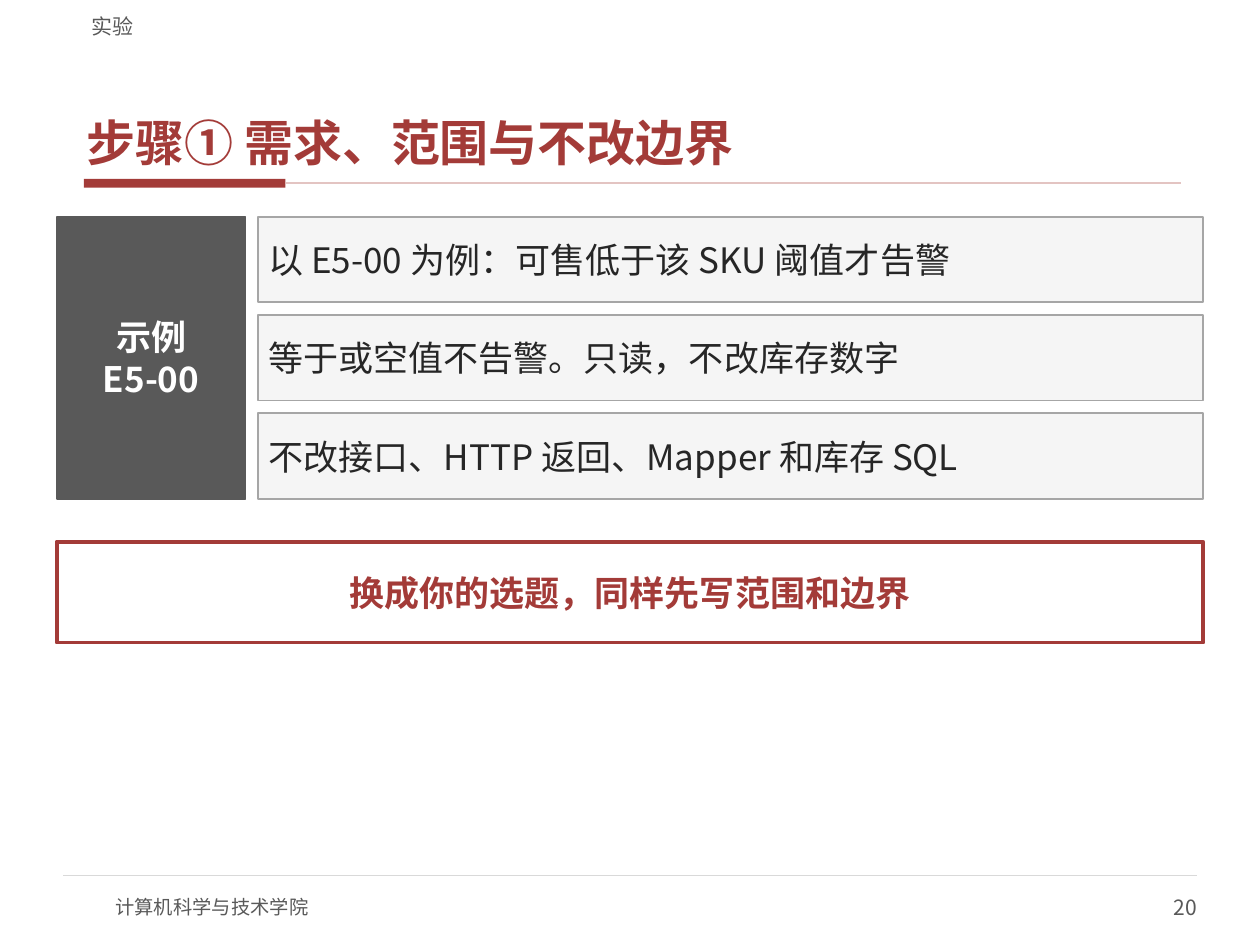
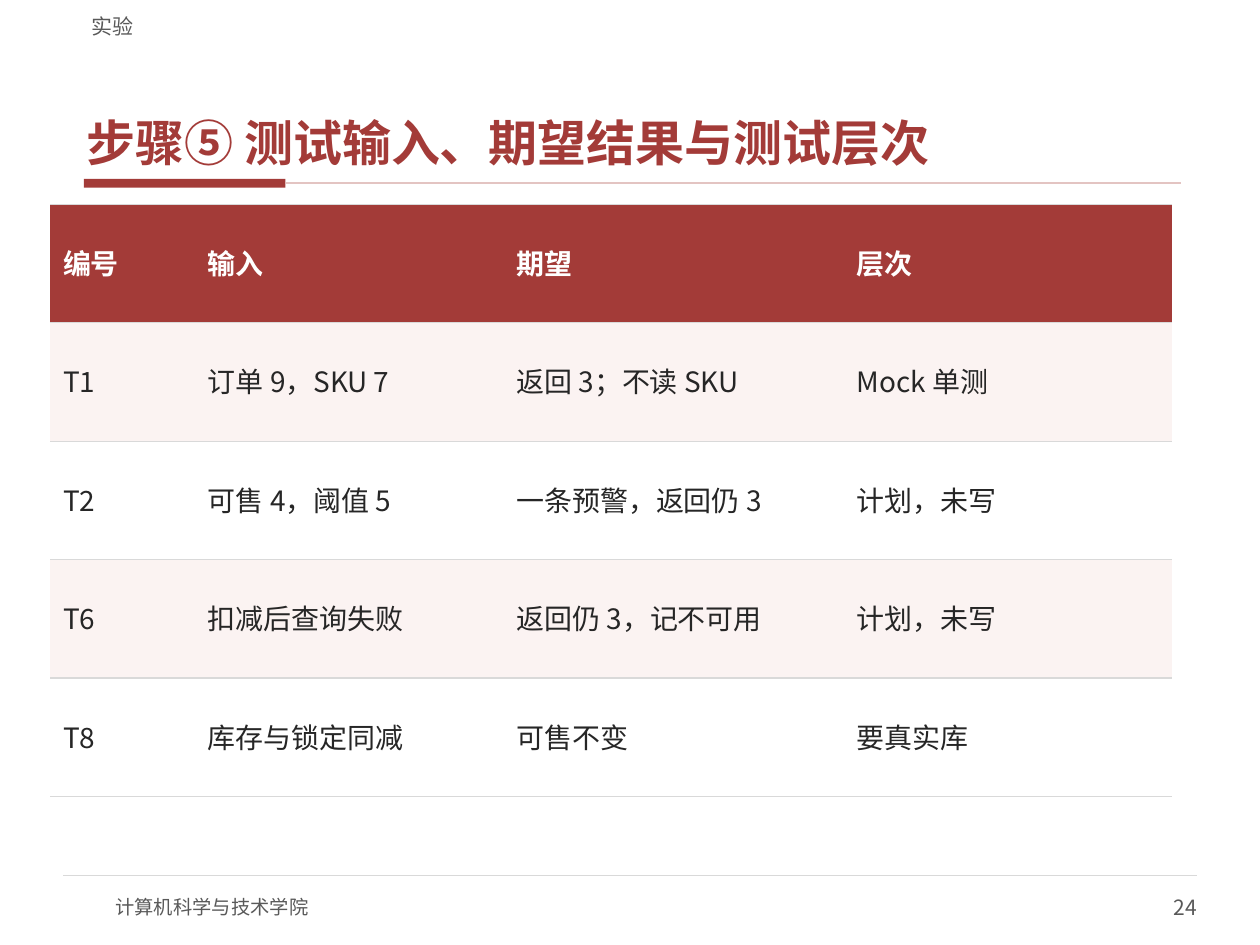
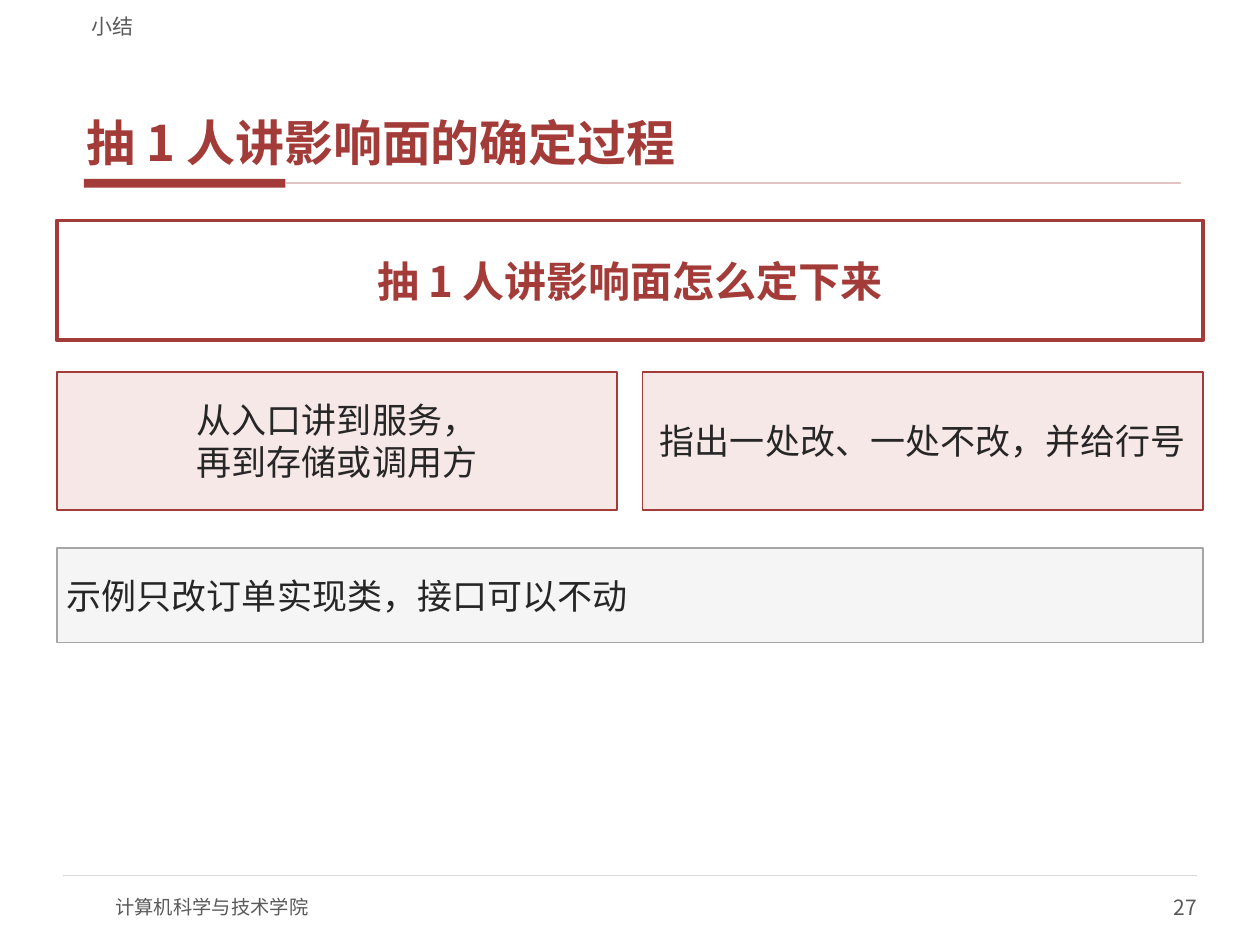
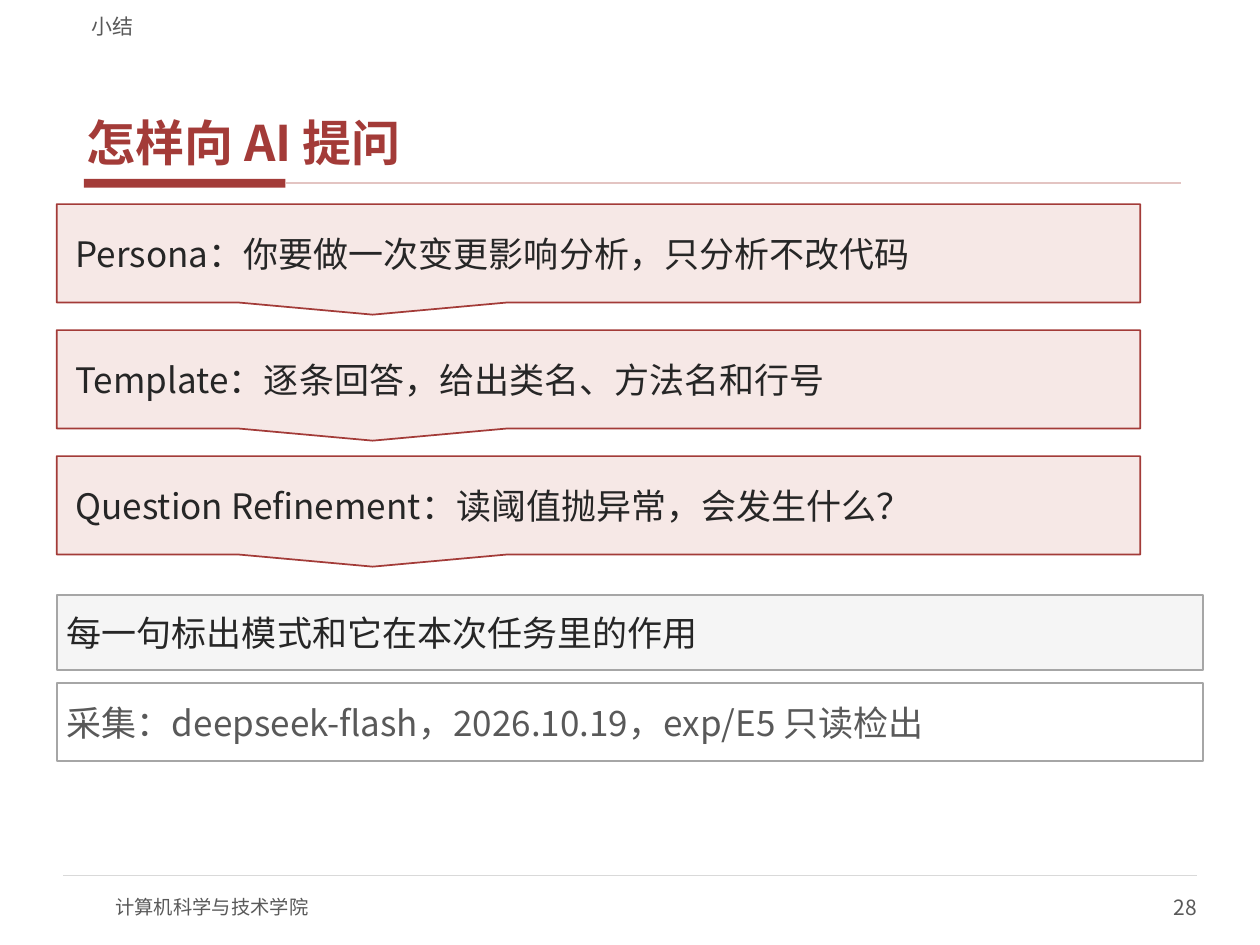
from lxml import etree
from pptx import Presentation
from pptx.dml.color import RGBColor
from pptx.enum import shapes, text
from pptx.oxml import ns
from pptx.util import Pt

FONT = "Noto Sans CJK SC"
COLORS = {
    "red": "A33B38", "rose": "E3C4C2", "pink": "F6E8E6", "blush": "FBF3F2",
    "white": "FFFFFF", "pale": "F5F5F5", "rule": "D9D9D9", "border": "A6A6A6",
    "gray": "595959", "ink": "262626",
}
SCHOOL = "计算机科学与技术学院"

SLIDES = [
    {"section": "实验", "number": 20, "title": "步骤① 需求、范围与不改边界"},
    {"section": "实验", "number": 24, "title": "步骤⑤ 测试输入、期望结果与测试层次"},
    {"section": "小结", "number": 27, "title": "抽 1 人讲影响面的确定过程"},
    {"section": "小结", "number": 28, "title": "怎样向 AI 提问"},
]

EXAMPLE = "示例\nE5-00"
SCOPE_RULES = [
    "以 E5-00 为例：可售低于该 SKU 阈值才告警",
    "等于或空值不告警。只读，不改库存数字",
    "不改接口、HTTP 返回、Mapper 和库存 SQL",
]
SCOPE_TASK = "换成你的选题，同样先写范围和边界"

TESTS = [
    ("编号", "输入", "期望", "层次"),
    ("T1", "订单 9，SKU 7", "返回 3；不读 SKU", "Mock 单测"),
    ("T2", "可售 4，阈值 5", "一条预警，返回仍 3", "计划，未写"),
    ("T6", "扣减后查询失败", "返回仍 3，记不可用", "计划，未写"),
    ("T8", "库存与锁定同减", "可售不变", "要真实库"),
]
TEST_WIDTHS = [82.8, 176.4, 194.4, 187.2]

TALK = "抽 1 人讲影响面怎么定下来"
TALK_POINTS = ["从入口讲到服务，\n再到存储或调用方", "指出一处改、一处不改，并给行号"]
TALK_NOTE = "示例只改订单实现类，接口可以不动"

PROMPTS = [
    "Persona：你要做一次变更影响分析，只分析不改代码",
    "Template：逐条回答，给出类名、方法名和行号",
    "Question Refinement：读阈值抛异常，会发生什么？",
]
PROMPT_NOTE = "每一句标出模式和它在本次任务里的作用"
PROMPT_SOURCE = "采集：deepseek-flash，2026.10.19，exp/E5 只读检出"

LEFT, WIDTH, GAP = 32.4, 655.2, 7.2
MIDDLE, BOTTOM = text.MSO_ANCHOR.MIDDLE, text.MSO_ANCHOR.BOTTOM
CENTER, RIGHT = text.PP_ALIGN.CENTER, text.PP_ALIGN.RIGHT

BOX_STYLES = {
    "dark": {"fill": "gray", "line": "gray", "color": "white", "bold": True, "align": CENTER},
    "plain": {"fill": "pale", "line": "border"},
    "source": {"fill": "white", "line": "border", "color": "gray"},
    "key": {"fill": "white", "line": "red", "weight": 2.25, "color": "red",
            "bold": True, "align": CENTER},
    "point": {"fill": "pink", "line": "red", "align": CENTER},
    "prompt": {"fill": "pink", "line": "red", "insets": (10.8, 5)},
}


def rgb(name):
    return RGBColor.from_string(COLORS[name])


def write(tf, words, size=20, color="ink", bold=False, align=None, **spacing):
    p = tf.paragraphs[0]
    p.text = words
    p.alignment = align
    for name, value in spacing.items():
        setattr(p, name, value)
    for r in p.runs:
        for name, value in {"name": FONT, "size": Pt(size), "bold": bold}.items():
            setattr(r.font, name, value)
        r.font.color.rgb = rgb(color)
        latin = r.font._element.find(ns.qn("a:latin"))
        latin.addnext(etree.Element(ns.qn("a:ea"), typeface=FONT))


def frame(tf, anchor, side, top):
    values = {"word_wrap": True, "vertical_anchor": anchor, "margin_left": Pt(side),
              "margin_right": Pt(side), "margin_top": Pt(top), "margin_bottom": Pt(top)}
    for name, value in values.items():
        setattr(tf, name, value)


def label(s, at, words, anchor, insets=(0, 0), **style):
    tf = s.shapes.add_textbox(*map(Pt, at)).text_frame
    frame(tf, anchor, *insets)
    write(tf, words, **style)


def shape(s, at, fill, line=None, weight=1, kind=shapes.MSO_SHAPE.RECTANGLE):
    sp = s.shapes.add_shape(kind, *map(Pt, at))
    sp.shadow.inherit = False
    sp.fill.solid()
    sp.fill.fore_color.rgb = rgb(fill)
    if line:
        sp.line.color.rgb = rgb(line)
        sp.line.width = Pt(weight)
    else:
        sp.line.fill.background()
    return sp


def box(s, at, words, style, size=20, kind=shapes.MSO_SHAPE.RECTANGLE):
    style = dict(BOX_STYLES[style])
    sp = shape(s, at, style.pop("fill"), style.pop("line"), style.pop("weight", 1), kind)
    frame(sp.text_frame, MIDDLE, *style.pop("insets", (5.76, 2.88)))
    write(sp.text_frame, words, size, **style)


def rule(s, x1, x2, y, color, weight):
    c = s.shapes.add_connector(shapes.MSO_CONNECTOR.STRAIGHT, Pt(x1), Pt(y), Pt(x2), Pt(y))
    c.line.color.rgb = rgb(color)
    c.line.width = Pt(weight)
    etree.SubElement(c._element.spPr, ns.qn("a:effectLst"))


def add_slide(prs, section, number, title):
    """Add a slide with the shared title, rules, section name and footer."""
    s = prs.slides.add_slide(prs.slide_layouts[6])
    shape(s, (48, 102.24, 115.2, 5.04), "red")
    rule(s, 163.2, 674.64, 104.76, "rose", 1)
    rule(s, 36, 684, 500.4, "rule", 0.75)
    label(s, (66, 504, 288, 28.8), SCHOOL, MIDDLE, size=11, color="gray")
    label(s, (540, 504, 144, 28.8), str(number), MIDDLE, size=12, color="gray", align=RIGHT)
    label(s, (45, 24, 630, 75.6), title, BOTTOM, (4.32, 1.44), size=28, color="red",
          bold=True, space_after=Pt(2))
    label(s, (45, 3, 630, 19.4), section, BOTTOM, (7.2, 0), size=12, color="gray")
    return s


def border_cell(cell):
    """Draw grey lines above and below a cell and none at its sides."""
    tcPr = cell._tc.get_or_add_tcPr()
    for side in "LRTB":
        ln = etree.SubElement(tcPr, ns.qn(f"a:ln{side}"), w=str(Pt(0.75)))
        if side in "LR":
            etree.SubElement(ln, ns.qn("a:noFill"))
        else:
            fill = etree.SubElement(ln, ns.qn("a:solidFill"))
            etree.SubElement(fill, ns.qn("a:srgbClr"), val=COLORS["rule"])


def fill_scope(s):
    top, row_height = 123.84, 48.96
    pitch = row_height + GAP
    label_width, rules_left = 108, 147.6
    box(s, (LEFT, top, label_width, len(SCOPE_RULES) * pitch - GAP), EXAMPLE, "dark")
    for i, words in enumerate(SCOPE_RULES):
        at = (rules_left, top + i * pitch, LEFT + WIDTH - rules_left, row_height)
        box(s, at, words, "plain")
    box(s, (LEFT, 309.6, WIDTH, 57.6), SCOPE_TASK, "key")


def fill_tests(s):
    height = 338.4
    table = s.shapes.add_table(len(TESTS), len(TEST_WIDTHS), Pt(28.8), Pt(116.8),
                               Pt(sum(TEST_WIDTHS)), Pt(height)).table
    table.first_row = table.horz_banding = False
    for column, width in zip(table.columns, TEST_WIDTHS):
        column.width = Pt(width)
    for i, values in enumerate(TESTS):
        table.rows[i].height = Pt(height / len(TESTS))
        header = i == 0
        fill = "red" if header else "blush" if i % 2 else "white"
        for cell, words in zip(table.rows[i].cells, values):
            border_cell(cell)
            cell.fill.solid()
            cell.fill.fore_color.rgb = rgb(fill)
            cell.vertical_anchor = MIDDLE
            write(cell.text_frame, words, 16, "white" if header else "ink", header,
                  line_spacing=0.9, space_after=Pt(2))


def fill_talk(s):
    box(s, (LEFT, 126, WIDTH, 68.4), TALK, "key", 24)
    gap = 2 * GAP
    width = (WIDTH - gap) / len(TALK_POINTS)
    for i, words in enumerate(TALK_POINTS):
        box(s, (LEFT + i * (width + gap), 212.4, width, 79.2), words, "point")
    box(s, (LEFT, 313.2, WIDTH, 54), TALK_NOTE, "plain")


def fill_prompts(s):
    for i, words in enumerate(PROMPTS):
        box(s, (LEFT, 116.64 + i * 72, 619.2, 56.16), words, "prompt",
            kind=shapes.MSO_SHAPE.RECTANGULAR_CALLOUT)
    box(s, (LEFT, 339.84, WIDTH, 43.2), PROMPT_NOTE, "plain")
    box(s, (LEFT, 390.24, WIDTH, 44.64), PROMPT_SOURCE, "source")


def main():
    prs = Presentation()
    prs.slide_width, prs.slide_height = Pt(720), Pt(540)
    for content, fill in zip(SLIDES, (fill_scope, fill_tests, fill_talk, fill_prompts)):
        fill(add_slide(prs, **content))
    prs.save("out.pptx")


if __name__ == "__main__":
    main()
